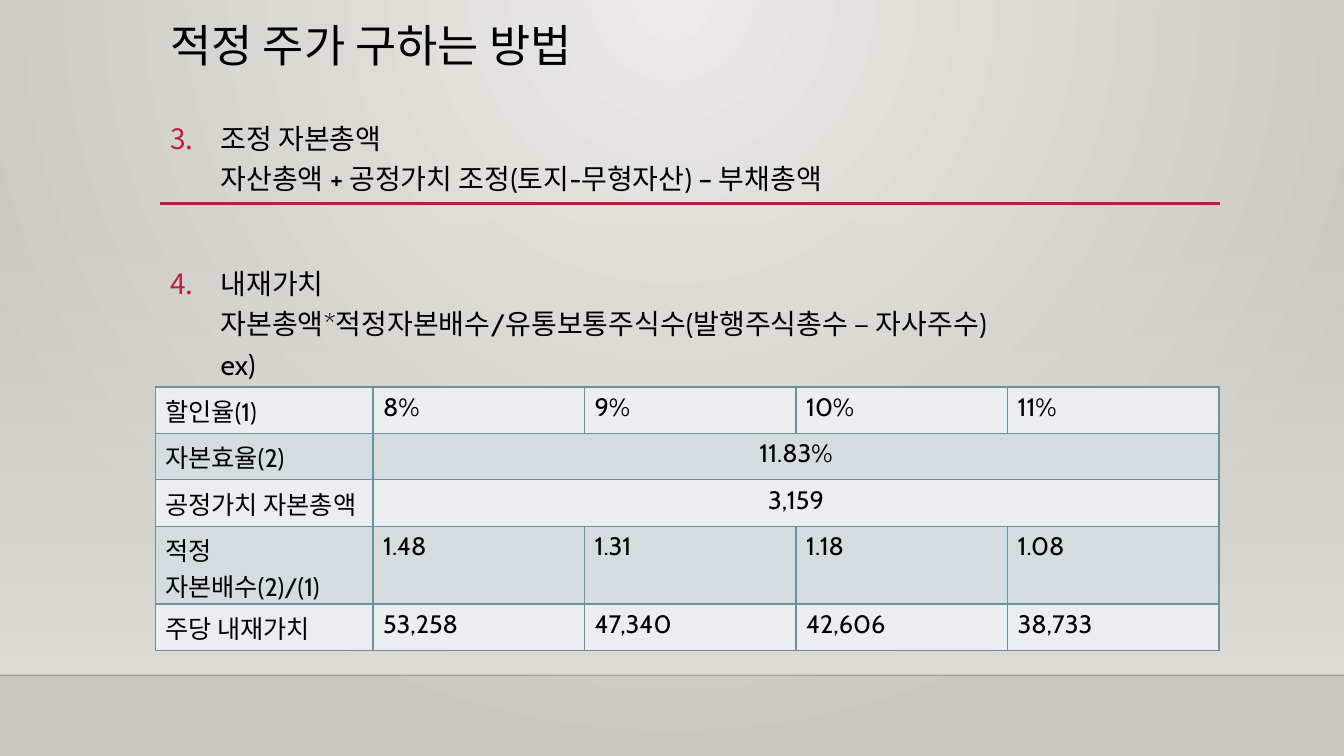
import pptx
import pptx.dml.color
import pptx.enum.shapes
import pptx.enum.text
import pptx.oxml
import pptx.oxml.ns
import pptx.util
from lxml import etree

Cm = pptx.util.Cm
Pt = pptx.util.Pt
qn = pptx.oxml.ns.qn

ACCENT, INK, BORDER = "B71E42", "000000", "6892A0"
BANDS = "EBEEF0", "D4DCDF"
SLIDE_WIDTH, SLIDE_HEIGHT = 33.87, 19.05
LEFT, CONTENT_WIDTH = 4.04, 26.67


def rgb(color):
    return pptx.dml.color.RGBColor.from_string(color)


def add_xml(parent, tag, **attributes):
    child = etree.SubElement(parent, qn(tag))
    for name, value in attributes.items():
        child.set(name, str(value))
    return child


def set_opacity(color_element, percent):
    add_xml(color_element, "a:alpha", val=percent * 1000)


def fill_gradient(fill, colors):
    fill.gradient()
    for stop, color, position in zip(fill.gradient_stops, colors, (0, 1)):
        stop.color.rgb = rgb(color)
        stop.position = position


def write(paragraph, text, size=18, color=INK, font="Cabin", align=None,
          line_spacing=None, space_before=None):
    """Fill a paragraph; each newline in the text becomes a line break."""
    paragraph.alignment = align
    paragraph.line_spacing = line_spacing
    if space_before is not None:
        paragraph.space_before = Pt(space_before)
    for number, line in enumerate(text.split("\n")):
        if number:
            paragraph.add_line_break()
        run = paragraph.add_run()
        run.text = line
        run.font.size = Pt(size)
        run.font.name = font
        run.font.color.rgb = rgb(color)


class Deck:
    def __init__(self):
        self.presentation = pptx.Presentation()
        self.presentation.slide_width = Cm(SLIDE_WIDTH)
        self.presentation.slide_height = Cm(SLIDE_HEIGHT)
        self.slide = self.presentation.slides.add_slide(
            self.presentation.slide_layouts[5])

    def background(self, center, edge):
        """Circular gradient spreading from the top middle."""
        fill_gradient(self.slide.background.fill, (center, edge))
        gradient = next(self.slide.element.iter(qn("a:gradFill")))
        gradient.remove(gradient.find(qn("a:lin")))
        circle = add_xml(gradient, "a:path", path="circle")
        add_xml(circle, "a:fillToRect", l=43000, t=0, r=43000, b=100000)

    def fading_band(self, top, height, color):
        band = self.slide.shapes.add_shape(
            pptx.enum.shapes.MSO_SHAPE.RECTANGLE,
            0, Cm(top), Cm(SLIDE_WIDTH), Cm(height))
        band.shadow.inherit = False
        band.line.fill.background()
        fill_gradient(band.fill, (color, color))
        band.fill.gradient_angle = 270
        set_opacity(next(band.element.spPr.iter(qn("a:srgbClr"))), 0)

    def rule(self, left, top, width, color, weight, opacity=100):
        rule = self.slide.shapes.add_connector(
            pptx.enum.shapes.MSO_CONNECTOR.STRAIGHT,
            Cm(left), Cm(top), Cm(left + width), Cm(top))
        rule.line.width = Pt(weight)
        rule.line.color.rgb = rgb(color)
        if opacity < 100:
            set_opacity(next(rule.element.spPr.iter(qn("a:srgbClr"))), opacity)
        add_xml(rule.element.spPr, "a:effectLst")

    def title(self, text, left, top, width, height):
        title = self.slide.shapes.title
        title.left, title.top = Cm(left), Cm(top)
        title.width, title.height = Cm(width), Cm(height)
        frame = title.text_frame
        frame.vertical_anchor = pptx.enum.text.MSO_ANCHOR.TOP
        frame.auto_size = pptx.enum.text.MSO_AUTO_SIZE.NONE
        write(frame.paragraphs[0], text, size=32, line_spacing=0.9,
              align=pptx.enum.text.PP_ALIGN.LEFT)

    def numbered_list(self, items, start, left, top, width, height):
        """Items are pairs of text and space before in points."""
        frame = self.slide.shapes.add_textbox(
            Cm(left), Cm(top), Cm(width), Cm(height)).text_frame
        frame.word_wrap = True
        for number, (text, space_before) in enumerate(items):
            paragraph = frame.add_paragraph() if number else frame.paragraphs[0]
            write(paragraph, text, size=20, line_spacing=1.2,
                  space_before=space_before)
            properties = paragraph._p.get_or_add_pPr()
            properties.set("marL", str(Cm(1.27)))
            properties.set("indent", str(-Cm(1.27)))
            bullet_color = add_xml(properties, "a:buClr")
            add_xml(bullet_color, "a:srgbClr", val=ACCENT)
            add_xml(properties, "a:buAutoNum", type="arabicPeriod",
                    startAt=start)

    def cell_borders(self, cell):
        properties = cell._tc.get_or_add_tcPr()
        for side in ("a:lnL", "a:lnR", "a:lnT", "a:lnB"):
            border = add_xml(properties, side, w=Pt(1))
            add_xml(add_xml(border, "a:solidFill"), "a:srgbClr", val=BORDER)

    def table(self, rows, left, top, widths, heights):
        """A row with one value spreads it over all value columns."""
        table = self.slide.shapes.add_table(
            len(rows), len(widths), Cm(left), Cm(top),
            Cm(sum(widths)), Cm(sum(heights))).table
        for column, width in zip(table.columns, widths):
            column.width = Cm(width)
        for index, (texts, height) in enumerate(zip(rows, heights)):
            table.rows[index].height = Cm(height)
            cells = [table.cell(index, c) for c in range(len(widths))]
            for cell in cells:
                self.cell_borders(cell)
                cell.fill.solid()
                cell.fill.fore_color.rgb = rgb(BANDS[index % 2])
            spread = len(texts) == 2
            if spread:
                cells[1].merge(cells[-1])
            for column, (cell, text) in enumerate(zip(cells, texts)):
                centered = spread and column == 1
                write(cell.text_frame.paragraphs[0], text,
                      align=pptx.enum.text.PP_ALIGN.CENTER if centered else None)


def main():
    deck = Deck()
    deck.background("ECEAE7", "CAC7C1")
    deck.fading_band(5.61, 11.4, "DFDBD5")
    deck.rule(0, 17.02, SLIDE_WIDTH, "000001", 1, opacity=20)
    deck.rule(LEFT, 5.13, 26.7, ACCENT, 2.5)
    deck.title("적정 주가 구하는 방법", LEFT, 0.48, CONTENT_WIDTH, 2.92)
    deck.numbered_list([
        ("조정 자본총액\n자산총액 + 공정가치 조정(토지-무형자산) – 부채총액", 10),
        ("내재가치\n자본총액*적정자본배수/유통보통주식수(발행주식총수 – 자사주수)\nex)", 46),
    ], 3, LEFT, 2.77, CONTENT_WIDTH, 9.58)
    deck.table([
        ("할인율(1)", "8%", "9%", "10%", "11%"),
        ("자본효율(2)", "11.83%"),
        ("공정가치 자본총액", "3,159"),
        ("적정 자본배수(2)/(1)", "1.48", "1.31", "1.18", "1.08"),
        ("주당 내재가치", "53,258", "47,340", "42,606", "38,733"),
    ], 3.91, 9.75, [5.49] + [5.33] * 4, [1.17, 1.17, 1.17, 1.96, 1.17])
    deck.presentation.save("out.pptx")


if __name__ == "__main__":
    main()
